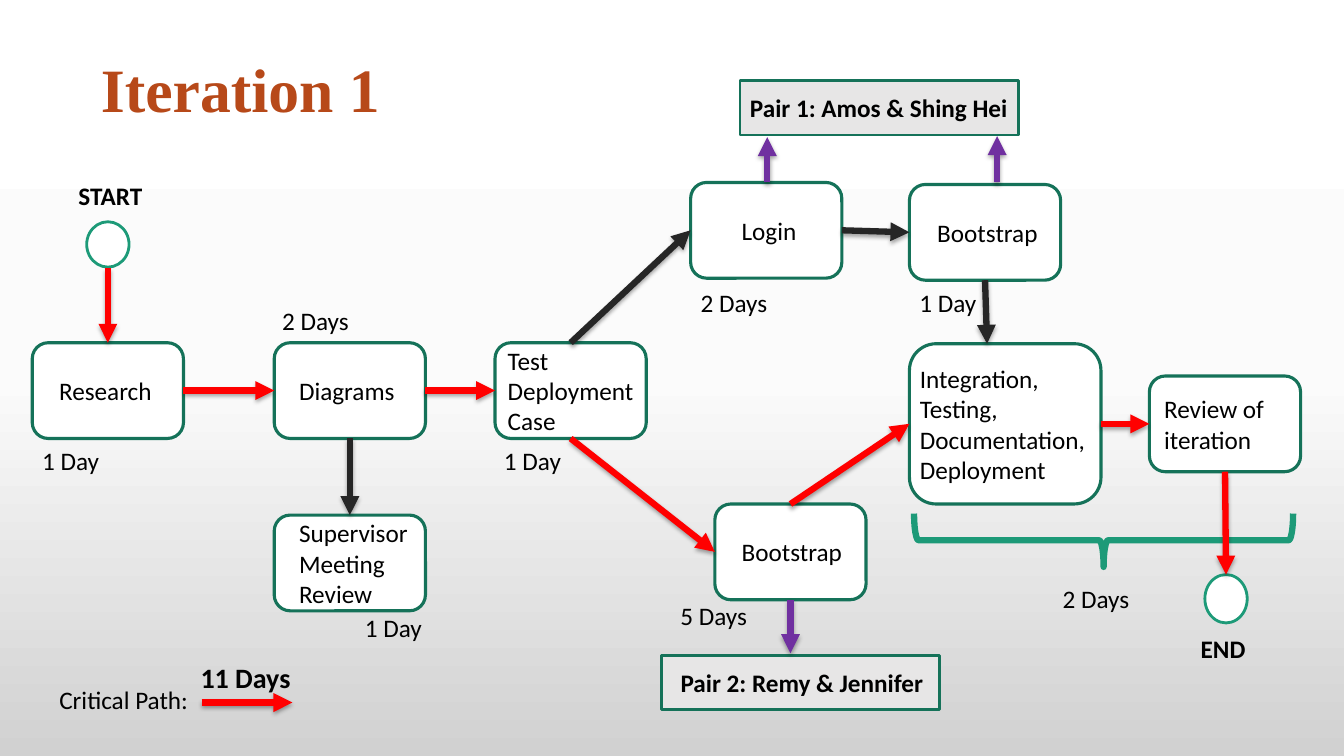
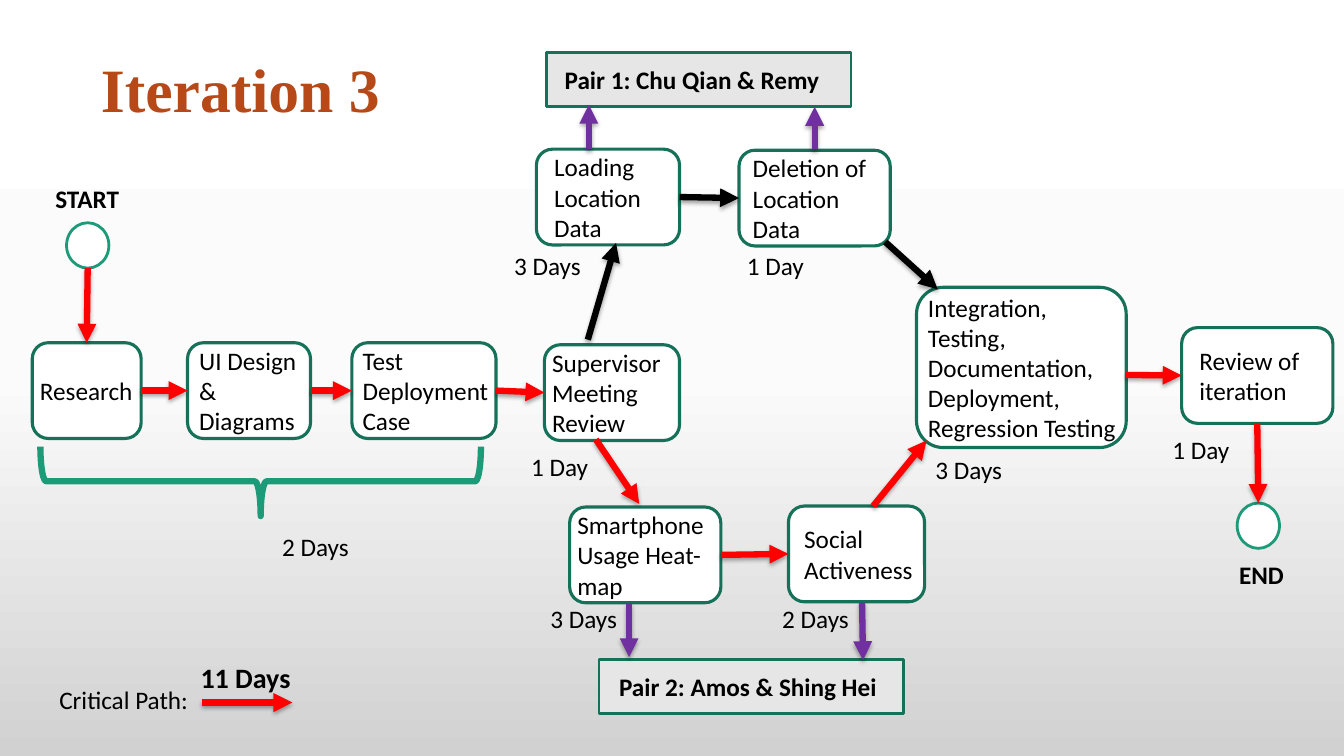
from copy import deepcopy
from dataclasses import dataclass

from lxml.etree import SubElement
from pptx import Presentation
from pptx.dml.color import RGBColor
from pptx.enum.shapes import MSO_CONNECTOR, MSO_SHAPE
from pptx.enum.text import MSO_ANCHOR, MSO_AUTO_SIZE, PP_ALIGN
from pptx.oxml.ns import qn
from pptx.util import Inches, Pt


@dataclass(frozen=True)
class Theme:
    title_font: str = "Times New Roman"
    body_font: str = "Calibri"
    title_size: float = 44
    body_size: float = 18
    total_size: float = 20
    title: str = "B74919"
    text: str = "000000"
    white: str = "FFFFFF"
    step_line: str = "157259"
    accent: str = "1D9A78"
    pair_fill: str = "E7E6E6"
    critical: str = "FF0000"
    charcoal: str = "262626"
    black: str = "000000"
    pair_arrow: str = "7030A0"
    background: tuple = ((0, "FFFFFF"), (0.5, "FBFBFB"), (1, "D1D1D1"))
    thin: float = 2
    medium: float = 2.25
    thick: float = 4.5


THEME = Theme()
SIDES = {"top": 0, "left": 1, "bottom": 2, "right": 3}
CORNER_INSET = 0.05
STEP_HEIGHT = 0.95


def rgb(value):
    return RGBColor.from_string(value)


def apply_format(target, formats):
    for name, value in formats.items():
        setattr(target, name, value)


def write_text(frame, text, bold=False, size=THEME.body_size,
               font=THEME.body_font, color=THEME.text):
    para = frame.paragraphs[0]
    para.alignment = PP_ALIGN.LEFT
    span = para.add_run()
    span.text = text
    apply_format(span.font, {"name": font, "size": Pt(size), "bold": bold})
    span.font.color.rgb = rgb(color)
    return para, span


def add_outlined(slide, kind, place, fill, line, width):
    box = slide.shapes.add_shape(kind, *map(Inches, place))
    box.shadow.inherit = False
    if fill:
        box.fill.solid()
        box.fill.fore_color.rgb = rgb(fill)
    else:
        box.fill.background()
    box.line.color.rgb = rgb(line)
    box.line.width = Pt(width)
    return box


def fill_box(box, text, inset, bold=False):
    apply_format(box.text_frame, {
        "word_wrap": True,
        "vertical_anchor": MSO_ANCHOR.MIDDLE,
        "margin_left": Inches(inset),
        "margin_right": 0,
        "margin_top": 0,
        "margin_bottom": 0,
    })
    write_text(box.text_frame, text, bold)


def add_step(slide, text, left, top, width, indent, height=STEP_HEIGHT):
    box = add_outlined(slide, MSO_SHAPE.ROUNDED_RECTANGLE, (left, top, width, height),
                       THEME.white, THEME.step_line, THEME.medium)
    fill_box(box, text, indent - CORNER_INSET * height / STEP_HEIGHT)
    return box


def add_pair(slide, text, left, top, width, indent):
    box = add_outlined(slide, MSO_SHAPE.RECTANGLE, (left, top, width, 0.54),
                       THEME.pair_fill, THEME.step_line, THEME.thin)
    fill_box(box, text, indent, bold=True)


def add_circle(slide, left, top, height=0.45):
    return add_outlined(slide, MSO_SHAPE.OVAL, (left, top, 0.42, height),
                        THEME.white, THEME.accent, THEME.thin)


def add_brace(slide, left, top, width, height):
    brace = add_outlined(slide, MSO_SHAPE.RIGHT_BRACE, (left, top, width, height),
                         None, THEME.accent, THEME.thick)
    brace.rotation = 90


def add_label(slide, text, left, top, width=1.08, **style):
    box = slide.shapes.add_textbox(*map(Inches, (left, top, width, 0.4)))
    apply_format(box.text_frame, {
        "word_wrap": True, "auto_size": MSO_AUTO_SIZE.SHAPE_TO_FIT_TEXT})
    write_text(box.text_frame, text, **style)


def add_arrow(slide, boxes, color, start, end):
    points = [(0, 0) if isinstance(point[0], str) else tuple(map(Inches, point))
              for point in (start, end)]
    arrow = slide.shapes.add_connector(MSO_CONNECTOR.STRAIGHT, *points[0], *points[1])
    for point, connect in ((start, arrow.begin_connect), (end, arrow.end_connect)):
        if isinstance(point[0], str):
            connect(boxes[point[0]], SIDES[point[1]])
    arrow.line.color.rgb = rgb(color)
    arrow.line.width = Pt(THEME.thick)
    line = arrow.element.xpath("p:spPr/a:ln")[0]
    SubElement(line, qn("a:tailEnd"), type="triangle")
    effects = SubElement(line.getparent(), qn("a:effectLst"))
    shadow = SubElement(effects, qn("a:outerShdw"), blurRad=str(Pt(3.1)),
                        dist=str(Pt(1.8)), dir="5400000", rotWithShape="0")
    shade = SubElement(shadow, qn("a:srgbClr"), val=THEME.black)
    SubElement(shade, qn("a:alpha"), val="35000")


def add_title(slide, text):
    title = slide.shapes.title
    apply_format(title, {"left": Inches(0.9), "top": Inches(0.19),
                         "width": Inches(11.5), "height": Inches(1.45)})
    title.text_frame.vertical_anchor = MSO_ANCHOR.MIDDLE
    para, span = write_text(title.text_frame, text, True, THEME.title_size,
                            THEME.title_font, THEME.title)
    para.line_spacing = 0.9
    properties = span.font.fill and para.runs[0].font
    properties.bold = True
    run_format = title.element.xpath(".//a:rPr")[0]
    outline = SubElement(run_format, qn("a:ln"), w=str(Pt(0.75)))
    paint = SubElement(outline, qn("a:solidFill"))
    SubElement(paint, qn("a:srgbClr"), val=THEME.white)
    run_format.insert(0, outline)


def add_legend(slide):
    add_label(slide, "Critical Path:", 0.49, 6.74, 1.5)
    add_label(slide, "11 Days", 1.89, 6.5, 1.15, bold=True, size=THEME.total_size)
    add_arrow(slide, {}, THEME.critical, (2, 6.97), (2.9, 6.97))


def paint_background(master):
    fill = master.background.fill
    fill.gradient()
    fill.gradient_angle = 270
    stops = master.element.xpath(".//p:bg//a:gsLst")[0]
    stops.append(deepcopy(stops[-1]))
    for stop, (position, color) in zip(fill.gradient_stops, THEME.background):
        stop.position = position
        stop.color.rgb = rgb(color)


def add_iteration(deck, plan):
    slide = deck.slides.add_slide(deck.slide_layouts[5])
    add_title(slide, plan["title"])
    for pair in plan["pairs"]:
        add_pair(slide, *pair)
    boxes = {name: add_step(slide, *step) for name, step in plan["steps"].items()}
    for name, circle in plan["circles"].items():
        boxes[name] = add_circle(slide, *circle)
    for label in plan["durations"]:
        add_label(slide, *label)
    for label in plan["endpoints"]:
        add_label(slide, *label, bold=True)
    add_brace(slide, *plan["brace"])
    for color, arrows in plan["arrows"].items():
        for start, end in arrows:
            add_arrow(slide, boxes, color, start, end)
    add_legend(slide)


FIRST = {
    "title": "Iteration 1",
    "pairs": [("Pair 1: Amos & Shing Hei", 7.34, 0.8, 2.76, 0.1),
              ("Pair 2: Remy & Jennifer", 6.56, 6.5, 2.76, 0.19)],
    "steps": {
        "research": ("Research", 0.32, 3.4, 1.5, 0.27),
        "diagrams": ("Diagrams", 2.72, 3.4, 1.5, 0.25),
        "test": ("Test Deployment Case", 4.91, 3.4, 1.5, 0.13),
        "supervisor": ("Supervisor Meeting Review", 2.72, 5.11, 1.5, 0.25),
        "login": ("Login", 6.85, 1.81, 1.5, 0.51),
        "upper bootstrap": ("Bootstrap", 9.02, 1.83, 1.5, 0.28),
        "lower bootstrap": ("Bootstrap", 7.09, 5, 1.5, 0.27),
        "integration": ("Integration, Testing, Documentation, Deployment",
                        9.02, 3.41, 1.9, 0.11, 1.59),
        "review": ("Review of iteration", 11.4, 3.73, 1.5, 0.15),
    },
    "circles": {"start": (0.86, 2.2), "end": (11.95, 5.7, 0.48)},
    "durations": [("1 Day", 0.32, 4.37), ("2 Days", 2.7, 2.98), ("1 Day", 4.9, 4.37),
                  ("1 Day", 3.52, 6.03), ("2 Days", 6.85, 2.8), ("1 Day", 9.02, 2.8),
                  ("5 Days", 6.65, 5.91), ("2 Days", 10.44, 5.74)],
    "endpoints": [("START", 0.68, 1.74), ("END", 11.81, 6.23)],
    "brace": (10.68, 3.48, 0.53, 3.76),
    "arrows": {
        THEME.critical: [
            ((1.07, 2.66), ("research", "top")),
            (("research", "right"), ("diagrams", "left")),
            (("diagrams", "right"), ("test", "left")),
            (("test", "bottom"), ("lower bootstrap", "left")),
            (("lower bootstrap", "top"), ("integration", "left")),
            (("integration", "right"), ("review", "left")),
            (("review", "bottom"), ("end", "top"))],
        THEME.charcoal: [
            (("diagrams", "bottom"), ("supervisor", "top")),
            (("test", "top"), ("login", "left")),
            (("login", "right"), ("upper bootstrap", "left")),
            (("upper bootstrap", "bottom"), (9.79, 3.41))],
        THEME.pair_arrow: [
            ((7.61, 1.81), (7.61, 1.36)),
            ((9.89, 1.81), (9.89, 1.35)),
            (("lower bootstrap", "bottom"), (7.84, 6.48))],
    },
}

THIRD = {
    "title": "Iteration 3",
    "pairs": [("Pair 1: Chu Qian & Remy", 5.42, 0.52, 3.02, 0.18),
              ("Pair 2: Amos & Shing Hei", 5.94, 6.54, 3.02, 0.2)],
    "steps": {
        "research": ("Research", 0.32, 3.4, 1.08, 0.08),
        "design": ("UI Design & Diagrams", 1.86, 3.4, 1.22, 0.12),
        "test": ("Test Deployment Case", 3.49, 3.4, 1.43, 0.11),
        "supervisor": ("Supervisor Meeting Review", 5.4, 3.42, 1.34, 0.08),
        "loading": ("Loading Location Data", 5.32, 1.48, 1.42, 0.18),
        "deletion": ("Deletion of Location Data", 7.33, 1.49, 1.5, 0.14),
        "smartphone": ("Smartphone Usage Heat-map", 5.65, 5.03, 1.5, 0.08),
        "social": ("Social Activeness", 7.82, 5.02, 1.35, 0.16),
        "integration": ("Integration, Testing, Documentation, Deployment, "
                        "Regression Testing", 9.09, 2.85, 2.08, 0.12, 1.59),
        "review": ("Review of iteration", 11.72, 3.25, 1.5, 0.18),
    },
    "circles": {"start": (0.66, 2.21), "end": (12.27, 4.99)},
    "durations": [("1 Day", 5.17, 4.43), ("3 Days", 5, 2.43), ("1 Day", 7.31, 2.43),
                  ("3 Days", 5.36, 5.94), ("1 Day", 11.53, 4.26), ("2 Days", 7.66, 5.94),
                  ("2 Days", 2.7, 5.22), ("3 Days", 9.18, 4.46)],
    "endpoints": [("START", 0.45, 1.77), ("END", 12.19, 5.5)],
    "brace": (2.24, 2.59, 0.69, 4.37),
    "arrows": {
        THEME.critical: [
            ((0.87, 2.66), ("research", "top")),
            (("research", "right"), ("design", "left")),
            (("design", "right"), ("test", "left")),
            (("test", "right"), ("supervisor", "left")),
            ((5.91, 4.36), (6.34, 5)),
            (("smartphone", "right"), ("social", "left")),
            ((8.66, 5.02), (9.19, 4.37)),
            ((11.17, 3.72), ("review", "left")),
            (("review", "bottom"), ("end", "top"))],
        THEME.black: [
            ((5.83, 3.37), (6.11, 2.41)),
            (("loading", "right"), ("deletion", "left")),
            ((8.78, 2.4), (9.3, 2.87))],
        THEME.pair_arrow: [
            ((5.84, 1.48), (5.84, 1.04)),
            ((8.08, 1.48), (8.08, 1.06)),
            ((6.24, 5.99), (6.24, 6.52)),
            ((8.55, 5.98), (8.56, 6.55))],
    },
}


def main():
    deck = Presentation()
    apply_format(deck, {"slide_width": Inches(13.33), "slide_height": Inches(7.5)})
    paint_background(deck.slide_master)
    for plan in (FIRST, THIRD):
        add_iteration(deck, plan)
    deck.save("out.pptx")


main()
